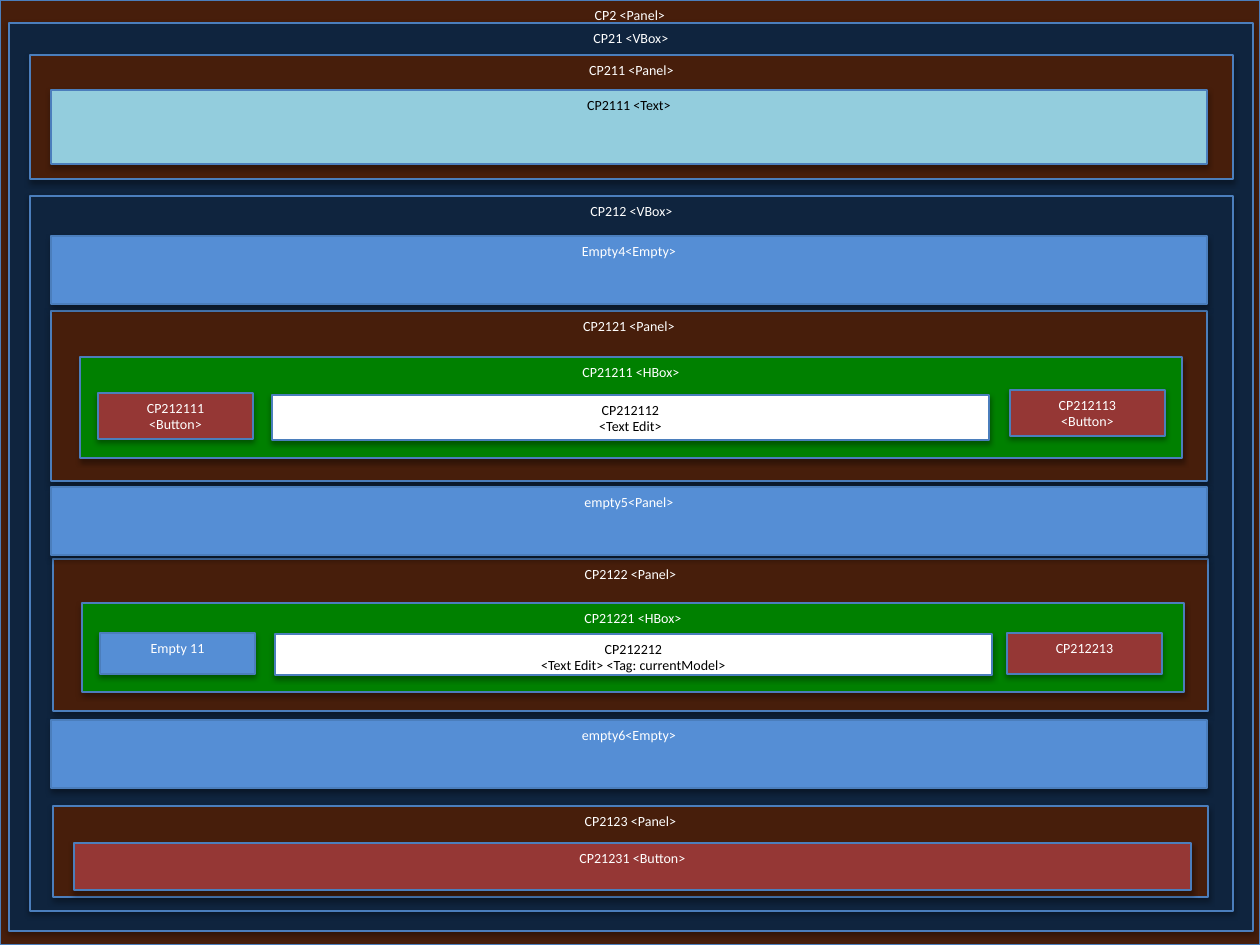
from lxml.etree import SubElement
from pptx import Presentation
from pptx.dml.color import RGBColor
from pptx.enum.shapes import MSO_SHAPE
from pptx.enum.text import MSO_ANCHOR, PP_ALIGN
from pptx.oxml.ns import qn
from pptx.util import Emu, Pt

EMU_PER_PX = 914400 / 126
WHITE, BLACK = "FFFFFF", "000000"
PANEL, VBOX, HBOX = ("471E0B", WHITE), ("0F243E", WHITE), ("008000", WHITE)
BUTTON, EMPTY = ("953735", WHITE), ("558ED5", WHITE)
TEXT, TEXT_EDIT = ("93CDDD", BLACK), (WHITE, BLACK)


def px(length):
    return Emu(round(length * EMU_PER_PX))


def rgb(code):
    return RGBColor.from_string(code)


def write(frame, text, font="Calibri", size=8, color=WHITE, align=PP_ALIGN.CENTER):
    frame.word_wrap = True
    frame.vertical_anchor = MSO_ANCHOR.TOP
    for number, line in enumerate(text.split("\n")):
        paragraph = frame.add_paragraph() if number else frame.paragraphs[0]
        paragraph.alignment = align
        run = paragraph.add_run()
        run.text = line
        run.font.name = font
        run.font.size = Pt(size)
        run.font.color.rgb = rgb(color)


class LayoutDiagram:
    outline = "4B7EBC"
    outline_width = 0.75

    def __init__(self, slide):
        self.slide = slide

    def box(self, label, style, left, top, width, height):
        fill, text_color = style
        component = self.slide.shapes.add_shape(
            MSO_SHAPE.RECTANGLE, px(left), px(top), px(width), px(height))
        component.fill.solid()
        component.fill.fore_color.rgb = rgb(fill)
        component.line.color.rgb = rgb(self.outline)
        component.line.width = Pt(self.outline_width)
        self.cast_shadow(component)
        write(component.text_frame, label, color=text_color)

    def cast_shadow(self, component):
        component.shadow.inherit = False
        effects = component._element.spPr.find(qn("a:effectLst"))
        shadow = SubElement(effects, qn("a:outerShdw"), blurRad="40000",
                            dist="23000", dir="5400000", rotWithShape="0")
        tint = SubElement(shadow, qn("a:srgbClr"), val=BLACK)
        SubElement(tint, qn("a:alpha"), val="35000")


def main():
    deck = Presentation()
    deck.slide_width, deck.slide_height = px(1260), px(945)
    diagram = LayoutDiagram(deck.slides.add_slide(deck.slide_layouts[6]))

    components = [
        ("CP2 <Panel>", PANEL, 0, 0, 1260, 945),
        ("CP21 <VBox>", VBOX, 9, 23, 1244, 908),
        ("CP211 <Panel>", PANEL, 30, 55, 1203, 124),
        ("CP212 <VBox>", VBOX, 30, 196, 1203, 715),
        ("CP2111 <Text>", TEXT, 51, 90, 1156, 74),
        ("CP2123 <Panel>", PANEL, 53, 806, 1155, 91),
        ("CP2121 <Panel>", PANEL, 51, 311, 1156, 170),
        ("CP2122 <Panel>", PANEL, 53, 559, 1155, 152),
        ("CP21211 <HBox>", HBOX, 80, 357, 1102, 101),
        ("CP21221 <HBox>", HBOX, 82, 603, 1102, 89),
        ("CP21231 <Button>", BUTTON, 74, 843, 1117, 47),
        ("CP212112\n<Text Edit>", TEXT_EDIT, 272, 395, 717, 45),
        ("CP212111\n<Button>", BUTTON, 98, 393, 155, 46),
        ("CP212113\n<Button>", BUTTON, 1010, 390, 155, 46),
        ("CP212212\n<Text Edit> <Tag: currentModel>", TEXT_EDIT, 275, 634, 717, 41),
        ("Empty 11", EMPTY, 100, 633, 155, 41),
        ("CP212213", BUTTON, 1007, 633, 155, 41),
    ]
    for component in components:
        diagram.box(*component)

    spacers = [("Empty4<Empty>", 236), ("empty5<Panel>", 487), ("empty6<Empty>", 720)]
    for label, top in spacers:
        diagram.box(label, EMPTY, 51, top, 1156, 68)

    deck.save("out.pptx")


if __name__ == "__main__":
    main()
